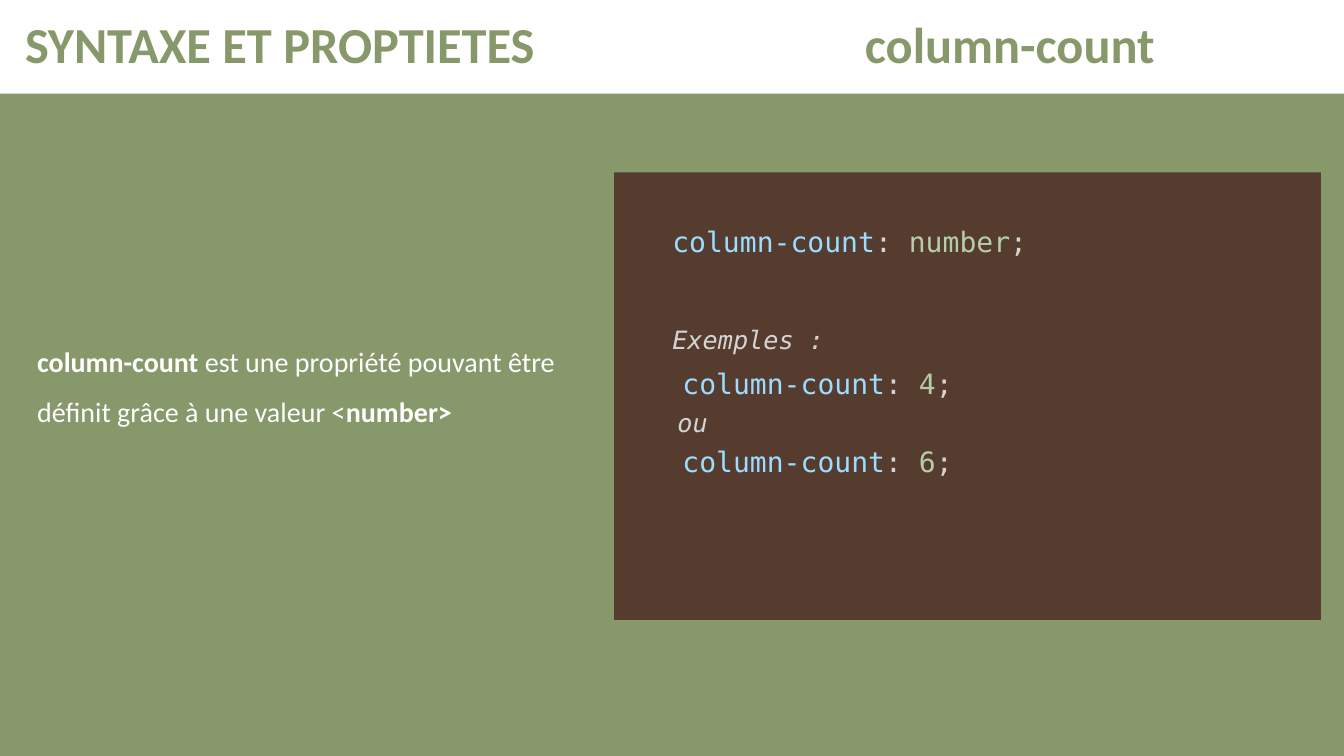
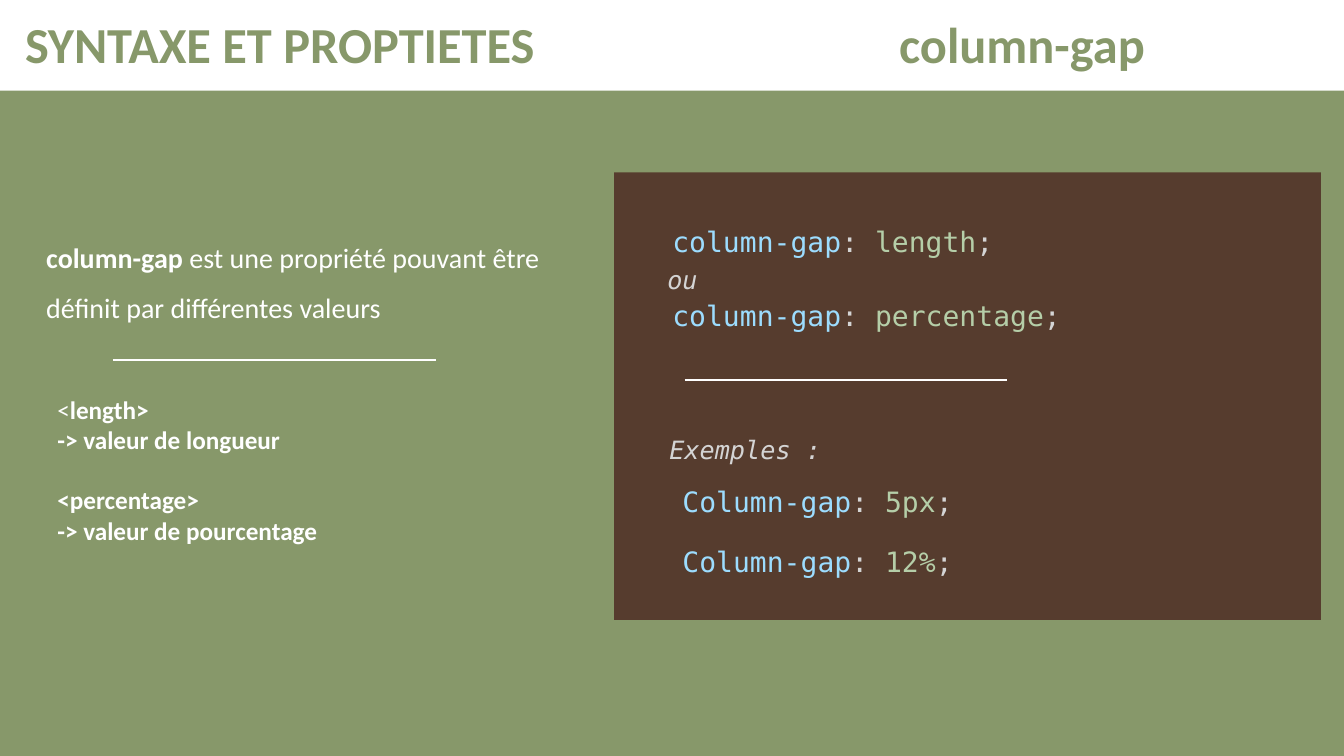
"""Build two slides on the CSS properties column-count and column-gap."""
import pptx
import pptx.util
import pptx.dml.color
import pptx.enum.shapes
import pptx.enum.text
import lxml.etree
from dataclasses import dataclass

Inches = pptx.util.Inches


@dataclass(frozen=True)
class Theme:
    green: str = "87986A"
    brown: str = "563C2E"
    white: str = "FFFFFF"
    blue: str = "9CDCFE"
    grey: str = "D4D4D4"
    lime: str = "B5CEA8"
    sans: str = "Calibri"
    mono: str = "DejaVu Sans Mono"
    title: int = 36
    body: int = 20
    note: int = 18


theme = Theme()


def color(code):
    return pptx.dml.color.RGBColor.from_string(code)


def write(slide, area, lines, font, size, lead=1.0, gaps=()):
    """Add a text box; each line is a list of (text, colour, style) runs."""
    box = slide.shapes.add_textbox(*map(Inches, area))
    frame = box.text_frame
    frame.word_wrap = True
    for index, line in enumerate(lines):
        para = frame.paragraphs[0] if index == 0 else frame.add_paragraph()
        para.line_spacing = lead
        if index in gaps:
            para.space_before = pptx.util.Pt(size * 1.2)
        for words, tint, style in line:
            run = para.add_run()
            run.text = words
            run.font.name = font
            run.font.size = pptx.util.Pt(size)
            run.font.color.rgb = color(tint)
            run.font.bold = style == "bold"
            run.font.italic = style == "italic"
    return frame


pages = [
    {
        "name": "column-count", "tab": 8.33, "band": 0.93,
        "intro": (0.27, 3.2, 5.5, 1.55),
        "words": [("column-count ", "bold"),
                  ("est une propriété pouvant être définit grâce à une valeur <", ""),
                  ("number>", "bold")],
        "code": [(6.57, 2.18, "column-count", "number"),
                 (6.67, 3.59, "column-count", "4"),
                 (6.67, 4.36, "column-count", "6")],
        "notes": [(6.57, 3.17, "Exemples :"), (6.62, 3.99, "ou")],
        "rules": [],
        "terms": [],
    },
    {
        "name": "column-gap", "tab": 8.67, "band": 0.9,
        "intro": (0.36, 2.17, 5.5, 1.05),
        "words": [("column-gap ", "bold"),
                  ("est une propriété pouvant être définit par différentes valeurs", "")],
        "code": [(6.57, 2.18, "column-gap", "length"),
                 (6.57, 2.91, "column-gap", "percentage"),
                 (6.67, 4.76, "Column-gap", "5px"),
                 (6.67, 5.35, "Column-gap", "12%")],
        "notes": [(6.52, 2.57, "ou"), (6.54, 4.26, "Exemples :")],
        "rules": [(1.12, 3.57), (6.79, 3.77)],
        "terms": [[("<", theme.white, ""), ("length>", theme.white, "bold")],
                  [("-> valeur de longueur", theme.white, "bold")],
                  [("<percentage>", theme.white, "bold")],
                  [("-> valeur de pourcentage", theme.white, "bold")]],
    },
]

deck = pptx.Presentation()
deck.slide_width = Inches(13.33)
deck.slide_height = Inches(7.5)

for page in pages:
    slide = deck.slides.add_slide(deck.slide_layouts[6])

    band = page["band"]
    for area, tint in [((0, band, 13.33, 7.5 - band), theme.green),
                       ((6.09, 1.71, 7.01, 4.44), theme.brown)]:
        panel = slide.shapes.add_shape(
            pptx.enum.shapes.MSO_SHAPE.RECTANGLE, *map(Inches, area))
        panel.shadow.inherit = False
        panel.fill.solid()
        panel.fill.fore_color.rgb = color(tint)
        panel.line.fill.background()

    title = write(slide, (0.15, 0, 12.96, 0.79),
                  [[("SYNTAXE ET PROPTIETES\t" + page["name"], theme.green, "bold")]],
                  theme.sans, theme.title, 0.9)
    title.vertical_anchor = pptx.enum.text.MSO_ANCHOR.BOTTOM
    props = title.paragraphs[0]._p.get_or_add_pPr()
    space = "{" + props.nsmap["a"] + "}"
    tabs = lxml.etree.SubElement(props, space + "tabLst")
    lxml.etree.SubElement(tabs, space + "tab", pos=str(Inches(page["tab"])), algn="l")

    intro = [(words, theme.white, style) for words, style in page["words"]]
    write(slide, page["intro"], [intro], theme.sans, theme.body, 1.5)

    for left, top, name, value in page["code"]:
        line = [(name, theme.blue, ""), (": ", theme.grey, ""),
                (value, theme.lime, ""), (";", theme.grey, "")]
        write(slide, (left, top, 6.4, 0.44), [line], theme.mono, theme.body)

    for left, top, words in page["notes"]:
        write(slide, (left, top, 6.4, 0.4), [[(words, theme.grey, "italic")]],
              theme.mono, theme.note)

    for left, top in page["rules"]:
        rule = slide.shapes.add_connector(
            pptx.enum.shapes.MSO_CONNECTOR.STRAIGHT,
            Inches(left), Inches(top), Inches(left + 3.2), Inches(top))
        rule.line.color.rgb = color(theme.white)
        rule.line.width = pptx.util.Pt(1.5)
        lxml.etree.SubElement(rule._element.spPr, space + "effectLst")

    if page["terms"]:
        write(slide, (0.47, 3.86, 4.88, 2.22), page["terms"],
              theme.sans, theme.note, gaps=(2,))

deck.save("out.pptx")
